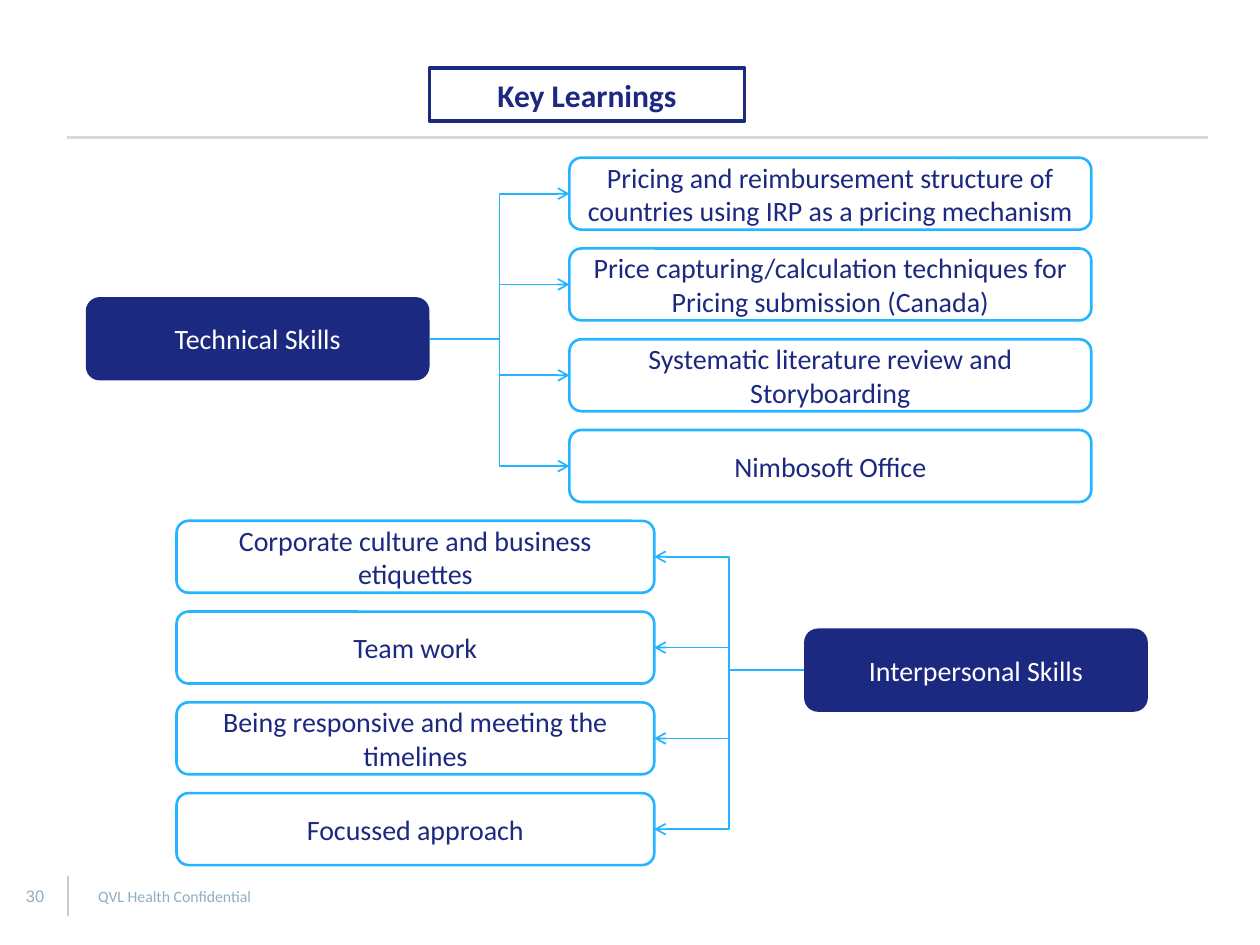
"""Build the Key Learnings slide: two skill groups, each linked to four lessons."""
from lxml import etree
from pptx import Presentation
from pptx.dml.color import RGBColor
from pptx.enum.shapes import MSO_CONNECTOR, MSO_SHAPE
from pptx.enum.text import MSO_ANCHOR, MSO_AUTO_SIZE, PP_ALIGN
from pptx.oxml.ns import qn
from pptx.util import Cm, Pt

ROUNDED = MSO_SHAPE.ROUNDED_RECTANGLE
STRAIGHT, ELBOW = MSO_CONNECTOR.STRAIGHT, MSO_CONNECTOR.ELBOW
LEFT, CENTER = PP_ALIGN.LEFT, PP_ALIGN.CENTER
MIDDLE, TOP = MSO_ANCHOR.MIDDLE, MSO_ANCHOR.TOP
NO_AUTOFIT = MSO_AUTO_SIZE.NONE
LEFT_SITE, RIGHT_SITE = 1, 3
TITLE_ONLY = 5

COLORS = {"navy": "1C2980", "sky": "25B4FF", "white": "FFFFFF",
          "footer": "8EAFBF", "rule": "D9DAD5", "divider": "CACCC5"}

FIRST_TOP, PITCH, LESSON_HEIGHT = 3.18, 1.83, 1.45
GROUPS = [
    {"skill": "Technical Skills", "skill_at": (1.73, 5.99), "lesson_left": 11.48,
     "lesson_width": 10.52, "sites": (RIGHT_SITE, LEFT_SITE),
     "lessons": ["Pricing and reimbursement structure of countries using IRP as a pricing mechanism",
                 "Price capturing/calculation techniques for Pricing submission (Canada)",
                 "Systematic literature review and Storyboarding",
                 "Nimbosoft Office"]},
    {"skill": "Interpersonal Skills", "skill_at": (16.21, 12.67), "lesson_left": 3.56,
     "lesson_width": 9.63, "sites": (LEFT_SITE, RIGHT_SITE),
     "lessons": ["Corporate culture and business etiquettes",
                 "Team work",
                 "Being responsive and meeting the timelines",
                 "Focussed approach"]},
]


class Slide:
    """Hold the style and the current page, and add its elements."""

    def __init__(self, deck):
        self.font = "Calibri"
        self.page = deck.slides.add_slide(deck.slide_layouts[TITLE_ONLY])

    def color(self, name):
        return RGBColor.from_string(COLORS[name])

    def fill_text(self, box, text, color, size=16, bold=False, font=None,
                  align=CENTER, anchor=MIDDLE, inset=(0.25, 0.13)):
        frame = box.text_frame
        side, edge = (Cm(value) for value in inset)
        layout = {"word_wrap": True, "auto_size": NO_AUTOFIT, "vertical_anchor": anchor,
                  "margin_left": side, "margin_right": side,
                  "margin_top": edge, "margin_bottom": edge}
        for name, value in layout.items():
            setattr(frame, name, value)
        para = frame.paragraphs[0]
        para.alignment = align
        span = para.add_run()
        span.text = text
        style = {"name": font or self.font, "size": Pt(size), "bold": bold}
        for name, value in style.items():
            setattr(span.font, name, value)
        span.font.color.rgb = self.color(color)

    def outline(self, item, color, width):
        item.line.color.rgb = self.color(color)
        item.line.width = Pt(width)

    def title(self, text, left, top, width, height):
        box = self.page.shapes.title
        place = {"left": left, "top": top, "width": width, "height": height}
        for name, value in place.items():
            setattr(box, name, Cm(value))
        geometry = etree.Element(qn("a:prstGeom"), prst="roundRect")
        etree.SubElement(geometry, qn("a:avLst"))
        box.element.spPr.find(qn("a:xfrm")).addnext(geometry)
        self.outline(box, "navy", 2)
        self.fill_text(box, text, "navy", size=18, bold=True)

    def text(self, text, left, top, width, height, **style):
        box = self.page.shapes.add_textbox(Cm(left), Cm(top), Cm(width), Cm(height))
        self.fill_text(box, text, "footer", **style)

    def box(self, text, left, top, width, height, fill, ink, line=None):
        box = self.page.shapes.add_shape(ROUNDED, Cm(left), Cm(top), Cm(width), Cm(height))
        box.shadow.inherit = False
        box.fill.solid()
        box.fill.fore_color.rgb = self.color(fill)
        if line:
            self.outline(box, line, 1.5)
        else:
            box.line.fill.background()
        self.fill_text(box, text, ink)
        return box

    def line(self, start, end, color, width, kind=STRAIGHT):
        points = [Cm(value) for value in (*start, *end)]
        line = self.page.shapes.add_connector(kind, *points)
        self.outline(line, color, width)
        etree.SubElement(line.element.spPr, qn("a:effectLst"))
        return line

    def arrow(self, source, target, sites):
        arrow = self.line((0, 0), (1, 1), "sky", 1, ELBOW)
        arrow.begin_connect(source, sites[0])
        arrow.end_connect(target, sites[1])
        stroke = arrow.element.spPr.find(qn("a:ln"))
        etree.SubElement(stroke, qn("a:tailEnd"), type="arrow")


def main():
    deck = Presentation()
    deck.slide_width, deck.slide_height = Cm(25.4), Cm(19.05)
    slide = Slide(deck)

    slide.title("Key Learnings", 8.66, 1.37, 6.35, 1.07)
    slide.line((1.35, 2.77), (24.36, 2.77), "rule", 1.25)
    slide.line((1.37, 17.65), (1.37, 18.47), "divider", 0.75)
    slide.text("30", 0.4, 17.86, 0.62, 0.4, size=9.5, font="Arial", anchor=TOP, inset=(0, 0))
    slide.text("QVL Health Confidential", 1.73, 17.55, 15.9, 1.02, size=9, align=LEFT)

    row = 0
    for group in GROUPS:
        skill = slide.box(group["skill"], *group["skill_at"], 6.93, 1.68, "navy", "white")
        for lesson in group["lessons"]:
            target = slide.box(lesson, group["lesson_left"], FIRST_TOP + row * PITCH,
                               group["lesson_width"], LESSON_HEIGHT, "white", "navy", "sky")
            slide.arrow(skill, target, group["sites"])
            row += 1

    deck.save("out.pptx")


if __name__ == "__main__":
    main()
